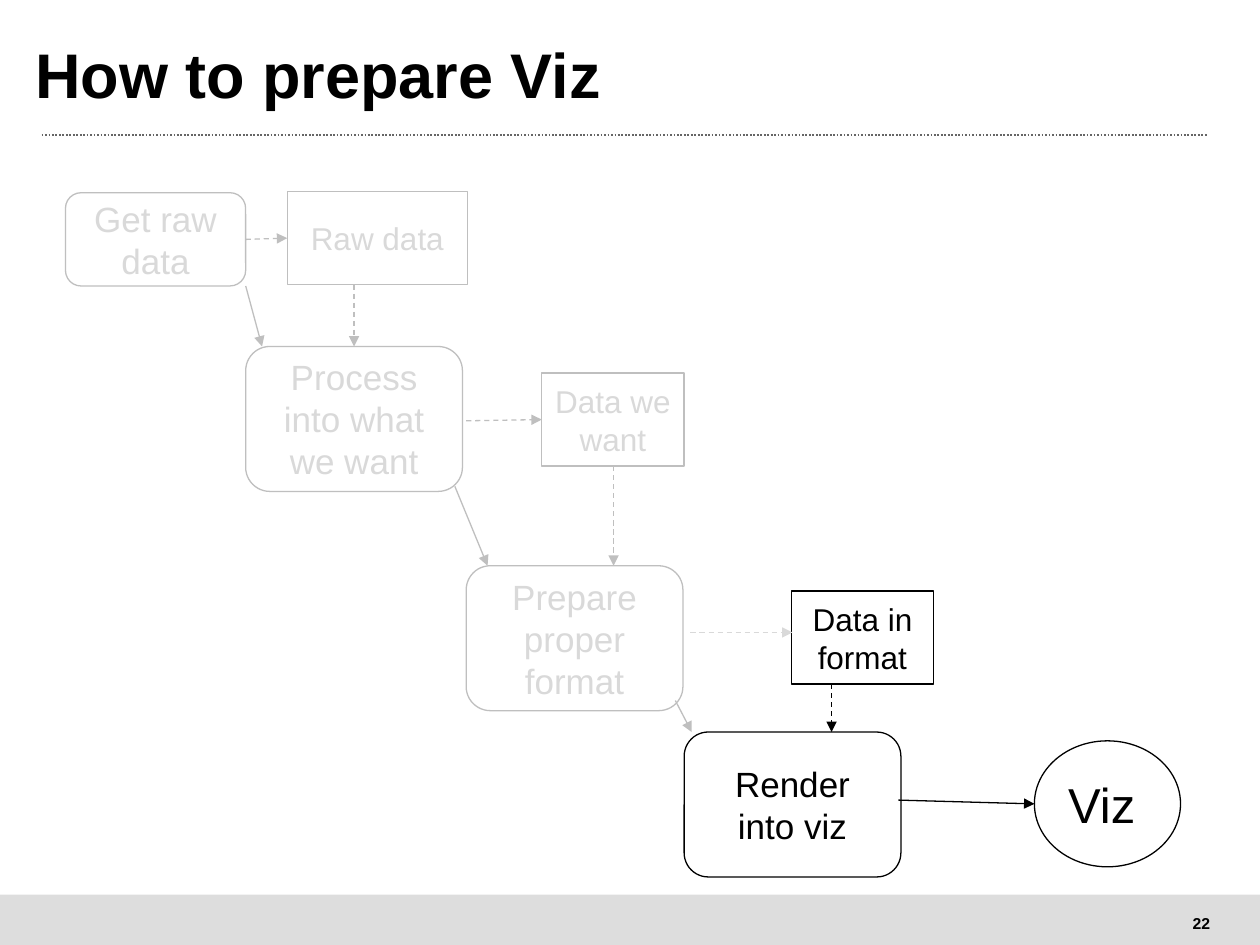
from pptx import Presentation
from pptx.dml.color import RGBColor
from pptx.enum import dml, shapes, text
from pptx.oxml.ns import qn
from pptx.util import Inches, Pt
from lxml import etree

GREY, PALE, BLACK = "BFBFBF", "D9D9D9", "000000"
STEP, DATA = (1.72, 1.15), (1.13, 0.74)
WIDE = (1.43, 0.74)
LEFT, CENTER = text.PP_ALIGN.LEFT, text.PP_ALIGN.CENTER
DASH, DOT = dml.MSO_LINE.DASH, dml.MSO_LINE.ROUND_DOT
ROUND = shapes.MSO_SHAPE.ROUNDED_RECTANGLE
RECT = shapes.MSO_SHAPE.RECTANGLE
OVAL = shapes.MSO_SHAPE.OVAL

# Boxes: text, preset, left-top, size, points, line colour, text colour, alignment
BOXES = [
    ("Raw data", RECT, (2.28, 1.52), WIDE, 18, GREY, PALE, CENTER),
    ("Get raw data", ROUND, (0.52, 1.53), WIDE, 20, GREY, PALE, CENTER),
    ("Process into what we want", ROUND, (1.95, 2.75), STEP, 20, GREY, PALE, CENTER),
    ("Prepare proper format", ROUND, (3.7, 4.49), STEP, 20, GREY, PALE, CENTER),
    ("Data we want", RECT, (4.3, 2.96), DATA, 18, GREY, PALE, CENTER),
    ("Data in format", RECT, (6.28, 4.69), DATA, 18, BLACK, BLACK, CENTER),
    ("Render into viz", ROUND, (5.43, 5.81), STEP, 20, BLACK, BLACK, CENTER),
    ("Viz", OVAL, (8.21, 5.88), (1.16, 1), 28, BLACK, BLACK, LEFT),
]

# Arrows: from, to, colour, dash
ARROWS = [
    ((1.95, 2.27), (2.08, 2.75), GREY, None),
    ((3.61, 3.86), (3.87, 4.49), GREY, None),
    ((5.36, 5.56), (5.49, 5.81), GREY, None),
    ((1.95, 1.9), (2.28, 1.89), GREY, DASH),
    ((3.7, 3.34), (4.3, 3.33), GREY, DASH),
    ((5.48, 5.02), (6.29, 5.02), PALE, DASH),
    ((7.13, 6.35), (8.21, 6.38), BLACK, None),
    ((2.81, 2.26), (2.81, 2.75), GREY, DASH),
    ((4.87, 3.7), (4.87, 4.49), GREY, DASH),
    ((6.6, 5.43), (6.6, 5.81), BLACK, DASH),
]


def rgb(value):
    return RGBColor.from_string(value)


def write(sp, words, size, color=BLACK, bold=False, align=LEFT, spacing=None, **frame):
    tf = sp.text_frame
    options = {"word_wrap": True, "vertical_anchor": text.MSO_ANCHOR.MIDDLE, **frame}
    for name, value in options.items():
        setattr(tf, name, value)
    p = tf.paragraphs[0]
    p.alignment, p.line_spacing = align, spacing
    r = p.add_run()
    r.text = words
    for name, value in {"name": "Arial", "size": Pt(size), "bold": bold}.items():
        setattr(r.font, name, value)
    r.font.color.rgb = rgb(color)


def add_box(s, preset, at, size, fill=None, line=None):
    sp = s.shapes.add_shape(preset, *map(Inches, at + size))
    sp.shadow.inherit = False
    if fill:
        sp.fill.solid()
        sp.fill.fore_color.rgb = rgb(fill)
    else:
        sp.fill.background()
    if line:
        sp.line.color.rgb = rgb(line)
        sp.line.width = Pt(0.75)
    else:
        sp.line.fill.background()
    return sp


def add_line(s, start, end, color, dash=None, width=0.75, arrow=True):
    c = s.shapes.add_connector(shapes.MSO_CONNECTOR.STRAIGHT, *map(Inches, start + end))
    c.line.color.rgb = rgb(color)
    c.line.width = Pt(width)
    if dash:
        c.line.dash_style = dash
    if arrow:
        etree.SubElement(c.line._get_or_add_ln(), qn("a:tailEnd"), type="triangle")
    etree.SubElement(c._element.spPr, qn("a:effectLst"))


prs = Presentation()
prs.slide_width, prs.slide_height = Inches(10), Inches(7.5)
s = prs.slides.add_slide(prs.slide_layouts[6])

# Footer band and slide number
add_box(s, RECT, (0, 7.1), (10, 0.4), fill="DDDDDD")
number = s.shapes.add_textbox(*map(Inches, (9.36, 7.2, 0.35, 0.25)))
write(number, "22", 9, bold=True, align=CENTER, word_wrap=False)

# Title and dotted rule
add_line(s, (0.33, 1.07), (9.58, 1.07), "666666", DOT, width=1, arrow=False)
title = s.shapes.add_textbox(*map(Inches, (0.28, 0.25, 9.27, 0.78)))
write(title, "How to prepare Viz", 36, bold=True, spacing=0.8,
      margin_left=0, margin_right=0, margin_top=0, margin_bottom=0)

# Flow diagram
for words, preset, at, size, points, line, color, align in BOXES:
    write(add_box(s, preset, at, size, line=line), words, points, color, align=align)
for arrow in ARROWS:
    add_line(s, *arrow)

prs.save("out.pptx")
